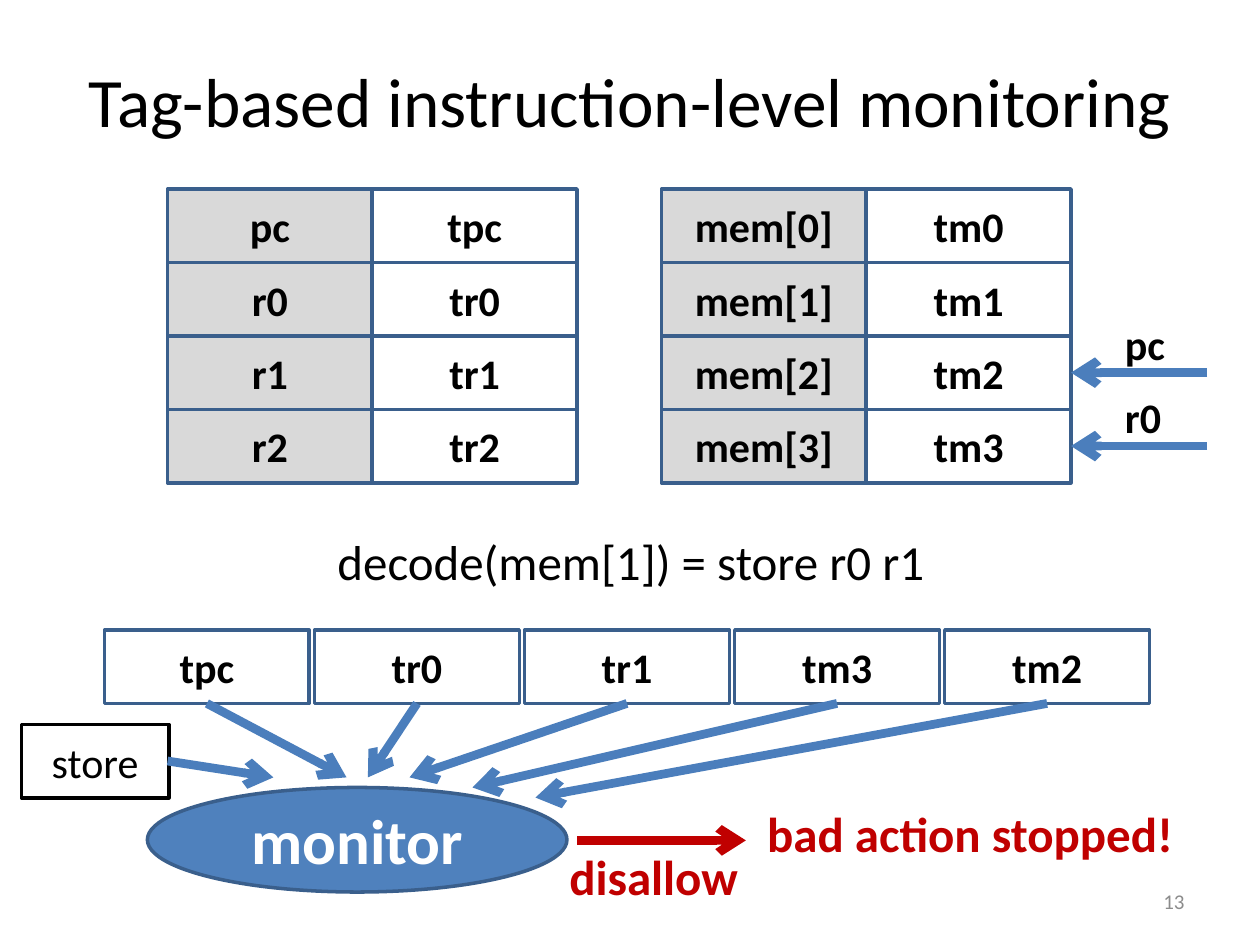
from lxml import etree
from pptx import Presentation
from pptx.dml.color import RGBColor
from pptx.enum.shapes import MSO_CONNECTOR, MSO_SHAPE
from pptx.enum.text import MSO_ANCHOR, MSO_AUTO_SIZE, PP_ALIGN
from pptx.oxml.ns import qn
from pptx.util import Inches, Pt

RECT, OVAL = MSO_SHAPE.RECTANGLE, MSO_SHAPE.OVAL
STRAIGHT = MSO_CONNECTOR.STRAIGHT
LEFT, CENTER, RIGHT = PP_ALIGN.LEFT, PP_ALIGN.CENTER, PP_ALIGN.RIGHT
TOP, MIDDLE = MSO_ANCHOR.TOP, MSO_ANCHOR.MIDDLE
NO_FIT = MSO_AUTO_SIZE.NONE

FONT = "Calibri"
BLACK, WHITE, GRAY, MUTED = "000000", "FFFFFF", "D9D9D9", "8C8C8C"
BORDER, ARROW, BLUE, RED = "3A5F8C", "4B7EBC", "4F81BD", "C00000"
CELL_W, CELL_H = 1.625, 0.583
TABLE_TOP, TAGS_TOP = 1.5, 5


def rgb(value):
    """Turn a hex string into a colour."""
    return RGBColor.from_string(value)


def write(tf, text, size, color=BLACK, bold=False, align=CENTER, anchor=MIDDLE):
    """Write one formatted run into a text frame."""
    tf.auto_size = NO_FIT
    tf.vertical_anchor = anchor
    p = tf.paragraphs[0]
    p.alignment = align
    r = p.add_run()
    r.text = text
    r.font.name, r.font.size, r.font.bold = FONT, Pt(size), bold
    r.font.color.rgb = rgb(color)


def add_title(s, text):
    """Place and fill the title placeholder."""
    sp = s.shapes.title
    sp.left, sp.top, sp.width, sp.height = map(Inches, (0.5, 0.17, 9, 1.25))
    write(sp.text_frame, text, 39.6)


def add_label(s, text, box, size, wrap=False, **style):
    """Add a text box."""
    tf = s.shapes.add_textbox(*map(Inches, box)).text_frame
    write(tf, text, size, **style)
    tf.word_wrap = wrap


def add_box(s, text, box, fill=WHITE, line=BORDER, kind=RECT, size=24,
            color=BLACK, bold=True):
    """Add an outlined shape with centred text."""
    sp = s.shapes.add_shape(kind, *map(Inches, box))
    sp.shadow.inherit = False
    sp.fill.solid()
    sp.fill.fore_color.rgb = rgb(fill)
    sp.line.color.rgb = rgb(line)
    sp.line.width = Pt(2)
    write(sp.text_frame, text, size, color, bold)


def add_tagged_table(s, left, rows):
    """Add a column of values beside a column of their tags."""
    for i, row in enumerate(rows):
        for j, (text, fill) in enumerate(zip(row, (GRAY, WHITE))):
            box = (left + j * CELL_W, TABLE_TOP + i * CELL_H, CELL_W, CELL_H)
            add_box(s, text, box, fill)


def add_arrow(s, start, end, color=ARROW):
    """Add a thick line with an open arrowhead at its end."""
    cx = s.shapes.add_connector(STRAIGHT, *map(Inches, (*start, *end)))
    cx.line.color.rgb = rgb(color)
    cx.line.width = Pt(5)
    ln = cx.line._get_or_add_ln()
    etree.SubElement(ln, qn("a:tailEnd"), type="arrow")
    etree.SubElement(ln.getparent(), qn("a:effectLst"))


def add_pointers(s):
    """Add the register pointers into memory."""
    for text, row in (("pc", 2), ("r0", 3)):
        y = TABLE_TOP + (row + 0.5) * CELL_H
        add_arrow(s, (9.58, y), (8.5, y))
        add_label(s, text, (8.83, y - 0.48, 0.52, 0.5), 24, bold=True,
                  align=LEFT, anchor=TOP)


def add_monitor(s):
    """Add the tags, the opcode and the monitor they feed."""
    tags = (("tpc", (2.75, 6.17)), ("tr0", (2.92, 6.17)), ("tr1", (3.25, 6.17)),
            ("tm3", (3.75, 6.25)), ("tm2", (4.25, 6.33)))
    for i, (text, target) in enumerate(tags):
        left = 0.83 + i * 1.667
        add_box(s, text, (left, TAGS_TOP, CELL_W, CELL_H))
        add_arrow(s, (left + CELL_W / 2, TAGS_TOP + CELL_H), target)
    add_box(s, "monitor", (1.17, 6.25, 3.33, 0.83), BLUE, kind=OVAL, size=36,
            color=WHITE)
    add_box(s, "store", (0.17, 5.75, 1.17, CELL_H), line=BLACK, bold=False)
    add_arrow(s, (1.33, 6.04), (2.17, 6.17))


def add_verdict(s):
    """Add the monitor's refusal and its outcome."""
    add_arrow(s, (4.58, 6.67), (5.92, 6.67), RED)
    for text, box in (("disallow", (4.42, 6.67, 1.55, 0.57)),
                      ("bad action stopped!", (5.99, 6.33, 3.46, 0.57))):
        add_label(s, text, box, 28, color=RED, bold=True, align=LEFT, anchor=TOP)


def main():
    """Build the slide and save it."""
    prs = Presentation()
    prs.slide_width, prs.slide_height = Inches(10), Inches(7.5)
    s = prs.slides.add_slide(prs.slide_layouts[5])
    add_title(s, "Tag-based instruction-level monitoring")
    add_label(s, "13", (7.17, 6.95, 2.33, 0.4), 12, wrap=True, color=MUTED,
              align=RIGHT)
    add_tagged_table(s, 1.33, [("pc", "tpc")] + [(f"r{i}", f"tr{i}") for i in range(3)])
    add_tagged_table(s, 5.25, [(f"mem[{i}]", f"tm{i}") for i in range(4)])
    add_label(s, "decode(mem[1]) = store r0 r1", (2.58, 4.17, 4.92, 0.57), 28,
              align=LEFT, anchor=TOP)
    add_pointers(s)
    add_monitor(s)
    add_verdict(s)
    prs.save("out.pptx")


if __name__ == "__main__":
    main()
